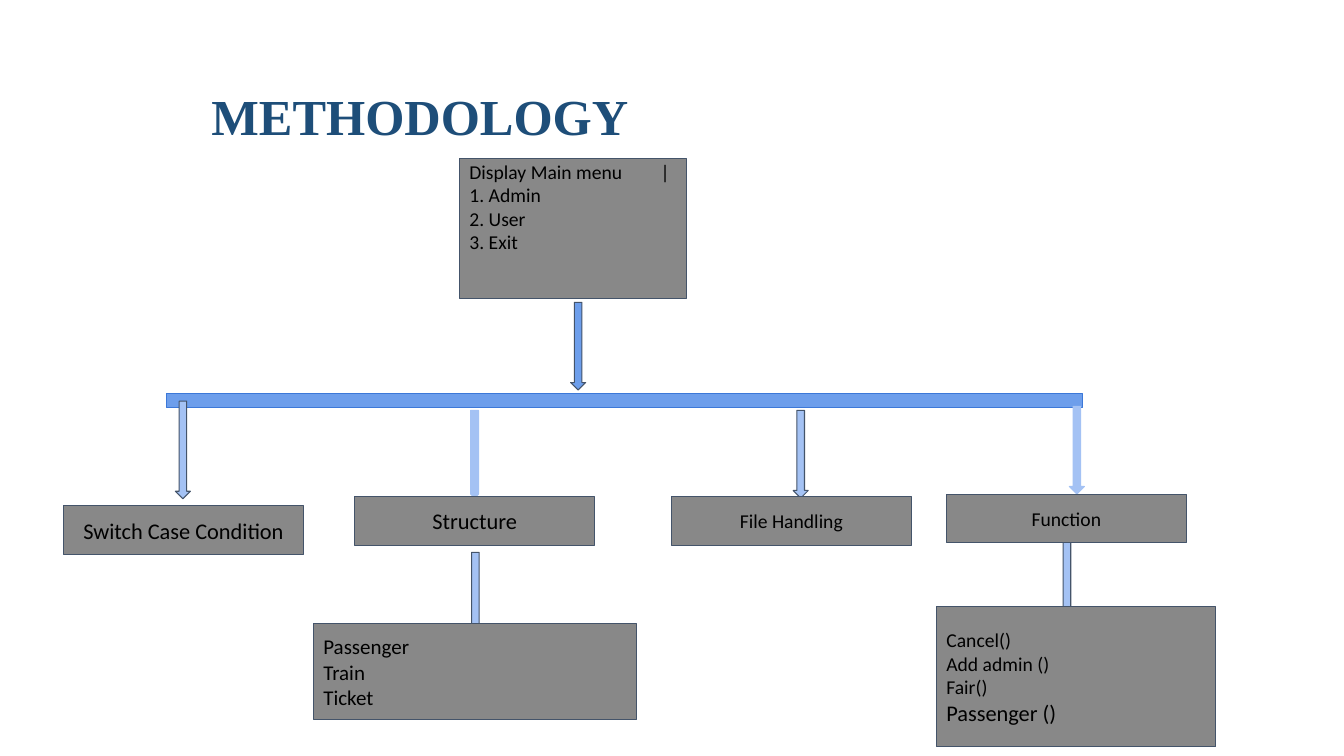
from lxml import etree
from pptx import Presentation
from pptx.dml.color import RGBColor
from pptx.enum.shapes import MSO_SHAPE
from pptx.enum.text import MSO_ANCHOR, PP_ALIGN
from pptx.oxml.ns import qn
from pptx.util import Cm, Pt

RECT, DOWN_ARROW = MSO_SHAPE.RECTANGLE, MSO_SHAPE.DOWN_ARROW
LEFT, CENTER = PP_ALIGN.LEFT, PP_ALIGN.CENTER
TOP, MIDDLE = MSO_ANCHOR.TOP, MSO_ANCHOR.MIDDLE
GREY, SLATE, BLUE, PALE = "888888", "44546A", "6D9EEB", "A4C2F4"


def rgb(color):
    return RGBColor.from_string(color)


def add_block(kind, x, y, w, h, fill, line):
    """Add a filled, thinly outlined shape; lengths in centimetres."""
    sp = slide.shapes.add_shape(kind, Cm(x), Cm(y), Cm(w), Cm(h))
    sp.shadow.inherit = False
    sp.fill.solid()
    sp.fill.fore_color.rgb = rgb(fill)
    sp.line.color.rgb = rgb(line)
    sp.line.width = Pt(0.75)
    return sp


prs = Presentation()
prs.slide_width, prs.slide_height = Cm(33.87), Cm(19.05)
slide = prs.slides.add_slide(prs.slide_layouts[6])

# Title
title = slide.shapes.add_textbox(Cm(5.08), Cm(2.03), Cm(22.76), Cm(1.8))
title.text_frame.word_wrap = True
p = title.text_frame.paragraphs[0]
p.text = "METHODOLOGY"
p.font.name, p.font.size, p.font.bold = "Times New Roman", Pt(36), True
p.font.color.rgb = rgb("1E4E79")

# Distribution bar
add_block(RECT, 4.19, 9.91, 23.09, 0.36, BLUE, "3C78D8")

# Arrows: x, y, width, height, fill, line, shaft share of the width
arrows = [
    (14.38, 7.62, 0.38, 2.21, BLUE, SLATE, 0.5),
    (4.42, 10.11, 0.38, 2.46, PALE, SLATE, 0.5),
    (11.86, 10.34, 0.2, 2.21, PALE, PALE, 1),
    (19.99, 10.34, 0.38, 2.21, PALE, SLATE, 0.5),
    (26.95, 10.24, 0.38, 2.21, PALE, PALE, 0.5),
    (11.79, 13.92, 0.38, 2.21, PALE, SLATE, 0.5),
    (26.7, 13.64, 0.38, 2.21, PALE, SLATE, 0.5),
]
for *block, shaft in arrows:
    add_block(DOWN_ARROW, *block).adjustments[0] = shaft

# Boxes: x, y, width, height, alignment, anchor, top inset, (text, size) lines
boxes = [
    (11.58, 3.99, 5.72, 3.53, LEFT, TOP, 0.03,
     [("Display Main menu\t|", 14), ("1. Admin", 14), ("2. User", 14), ("3. Exit", 14)]),
    (1.6, 12.75, 6.05, 1.22, CENTER, MIDDLE, 0.25, [("Switch Case Condition", 16)]),
    (8.94, 12.52, 6.05, 1.22, CENTER, MIDDLE, 0.25, [("Structure", 16)]),
    (16.92, 12.52, 6.05, 1.22, CENTER, MIDDLE, 0.25, [("File Handling", 14)]),
    (23.85, 12.45, 6.05, 1.22, CENTER, MIDDLE, 0.25, [("Function", 14)]),
    (7.9, 15.72, 8.15, 2.41, LEFT, MIDDLE, 0.25,
     [("Passenger", 15), ("Train", 15), ("Ticket", 15)]),
    (23.6, 15.29, 7.04, 3.53, LEFT, MIDDLE, 0.25,
     [("Cancel()", 14), ("Add admin ()", 14), ("Fair()", 14), ("Passenger ()", 16)]),
]
for x, y, w, h, align, anchor, top_inset, lines in boxes:
    tf = add_block(RECT, x, y, w, h, GREY, SLATE).text_frame
    tf.word_wrap = True
    tf.vertical_anchor = anchor
    tf.margin_left = tf.margin_right = tf.margin_bottom = Cm(0.25)
    tf.margin_top = Cm(top_inset)
    for i, (text, size) in enumerate(lines):
        p = tf.add_paragraph() if i else tf.paragraphs[0]
        p.text = text
        p.alignment = align
        if "\t" in text:
            tabs = etree.SubElement(p._p.get_or_add_pPr(), qn("a:tabLst"))
            etree.SubElement(tabs, qn("a:tab"), pos=str(Cm(4.82)), algn="l")
        p.font.name, p.font.size = "Calibri", Pt(size)
        p.font.color.rgb = rgb("000000")

prs.save("out.pptx")
